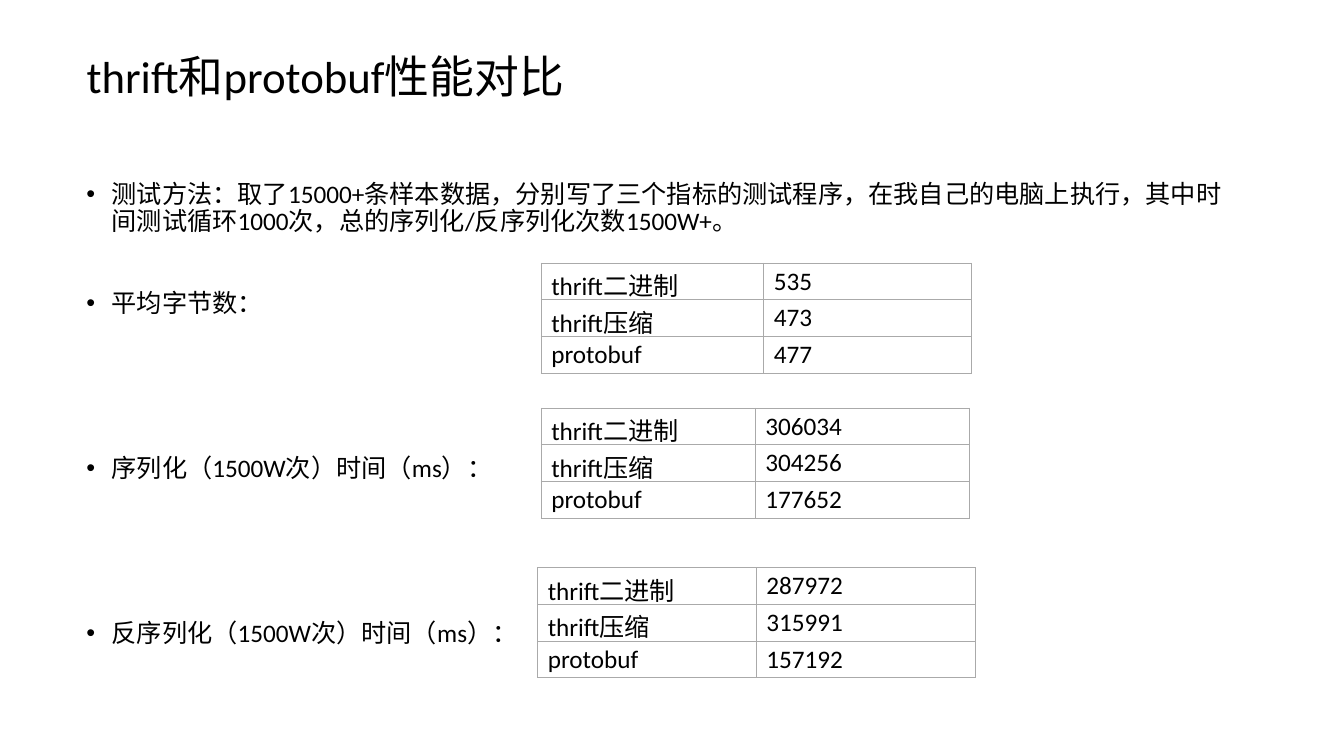
from lxml import etree
from pptx import Presentation
from pptx.dml.color import RGBColor
from pptx.enum.text import MSO_ANCHOR, MSO_AUTO_SIZE, PP_ALIGN
from pptx.oxml.ns import qn
from pptx.util import Pt

BLACK = RGBColor(0x00, 0x00, 0x00)
WHITE = RGBColor(0xFF, 0xFF, 0xFF)
GREY = RGBColor(0xAA, 0xAA, 0xAA)
FONT = "Calibri"
LEFT = PP_ALIGN.LEFT
MIDDLE = MSO_ANCHOR.MIDDLE
TOP = MSO_ANCHOR.TOP
FIXED = MSO_AUTO_SIZE.NONE

TITLE = "thrift和protobuf性能对比"
POINTS = [
    ("测试方法：取了15000+条样本数据，分别写了三个指标的测试程序，在我自己的电脑上执行，"
     "其中时间测试循环1000次，总的序列化/反序列化次数1500W+。", 10),
    ("平均字节数：", 39.2),
    ("序列化（1500W次）时间（ms）：", 98.4),
    ("反序列化（1500W次）时间（ms）：", 98.4),
]
NAMES = ["thrift二进制", "thrift压缩", "protobuf"]
TABLES = [
    ((386.6, 188), (159, 148.5), ["535", "473", "477"]),
    ((386.6, 291.6), (153, 153), ["306034", "304256", "177652"]),
    ((384.1, 405.6), (156.2, 156.2), ["287972", "315991", "157192"]),
]
ROW = 26.16


def add_run(para, text, size):
    """Append one black run to a paragraph."""
    run = para.add_run()
    run.text = text
    run.font.name = FONT
    run.font.size = Pt(size)
    run.font.color.rgb = BLACK


def add_title(slide, box):
    """Move the title placeholder to the box and fill it."""
    shape = slide.shapes.title
    shape.left, shape.top, shape.width, shape.height = map(Pt, box)
    frame = shape.text_frame
    frame.auto_size = FIXED
    frame.vertical_anchor = MIDDLE
    para = frame.paragraphs[0]
    para.alignment = LEFT
    para.line_spacing = 0.9
    add_run(para, TITLE, 32)


def add_points(slide, box):
    """Write the bulleted points into the box."""
    frame = slide.shapes.add_textbox(*map(Pt, box)).text_frame
    frame.word_wrap = True
    for index, (text, gap) in enumerate(POINTS):
        para = frame.add_paragraph() if index else frame.paragraphs[0]
        para.line_spacing = 0.9
        para.space_before = Pt(gap)
        props = para._p.get_or_add_pPr()
        props.set("marL", str(Pt(18)))
        props.set("indent", str(-Pt(18)))
        etree.SubElement(props, qn("a:buFont"), typeface="Arial")
        etree.SubElement(props, qn("a:buChar"), char="•")
        add_run(para, text, 18)


def add_lines(cell):
    """Draw thin grey lines on all four sides of a cell."""
    props = cell._tc.get_or_add_tcPr()
    for side in ("a:lnL", "a:lnR", "a:lnT", "a:lnB"):
        line = etree.SubElement(props, qn(side), w=str(Pt(0.75)))
        fill = etree.SubElement(line, qn("a:solidFill"))
        etree.SubElement(fill, qn("a:srgbClr"), val=str(GREY))


def fill_cell(cell, text):
    """Format one table cell and write its text."""
    add_lines(cell)
    cell.fill.solid()
    cell.fill.fore_color.rgb = WHITE
    cell.margin_left = cell.margin_right = Pt(7.2)
    cell.margin_top = cell.margin_bottom = Pt(2.2)
    cell.vertical_anchor = TOP
    add_run(cell.text_frame.paragraphs[0], text, 18)


def add_results(slide, spot, widths, values):
    """Place a table of results with its corner at the spot."""
    size = sum(widths), ROW * len(NAMES)
    frame = slide.shapes.add_table(len(NAMES), 2, *map(Pt, spot + size))
    table = frame.table
    table.first_row = table.horz_banding = False
    for column, width in zip(table.columns, widths):
        column.width = Pt(width)
    for index, pair in enumerate(zip(NAMES, values)):
        table.rows[index].height = Pt(ROW)
        for cell, text in zip(table.rows[index].cells, pair):
            fill_cell(cell, text)


def main():
    """Build the slide and save it."""
    deck = Presentation()
    deck.slide_width, deck.slide_height = Pt(960), Pt(540)
    slide = deck.slides.add_slide(deck.slide_layouts[5])
    slide.background.fill.solid()
    slide.background.fill.fore_color.rgb = WHITE
    add_title(slide, (54.7, 20.2, 828, 72.7))
    add_points(slide, (54.7, 126, 839.5, 384.5))
    for spot, widths, values in TABLES:
        add_results(slide, spot, widths, values)
    deck.save("out.pptx")


if __name__ == "__main__":
    main()
